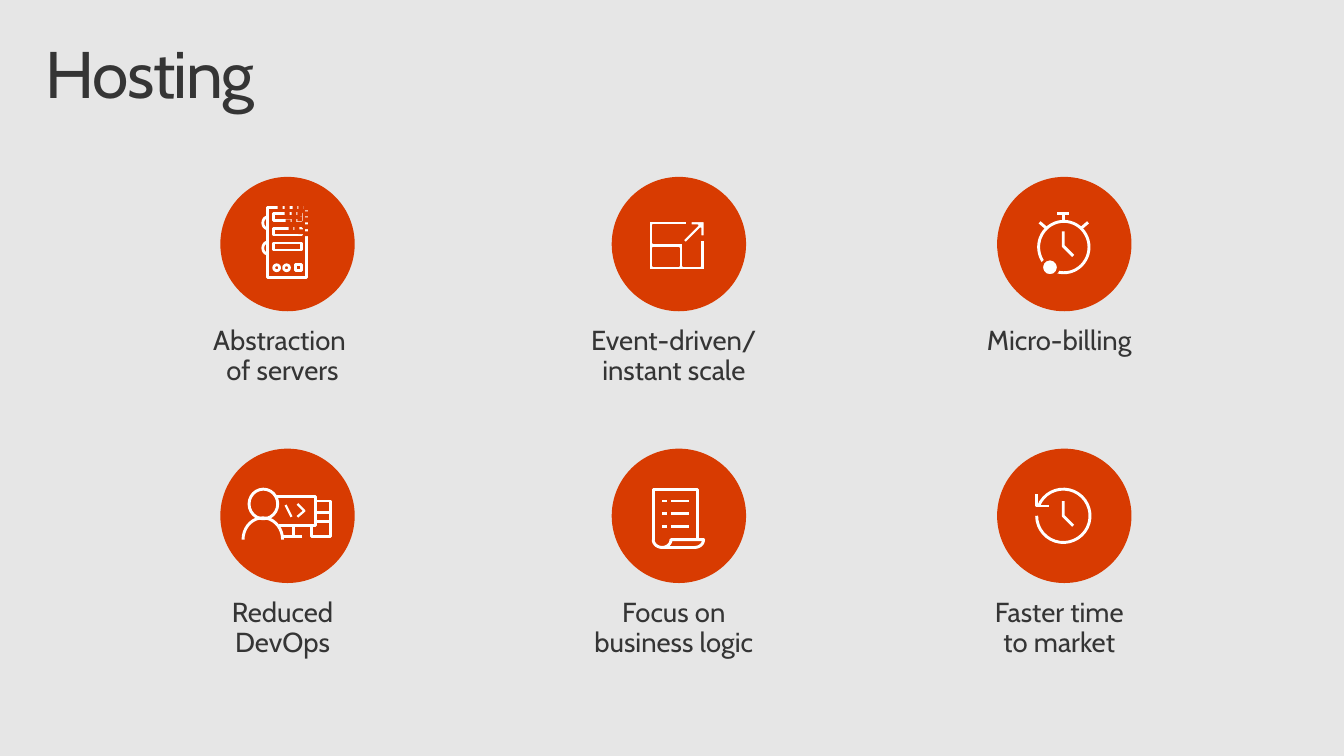
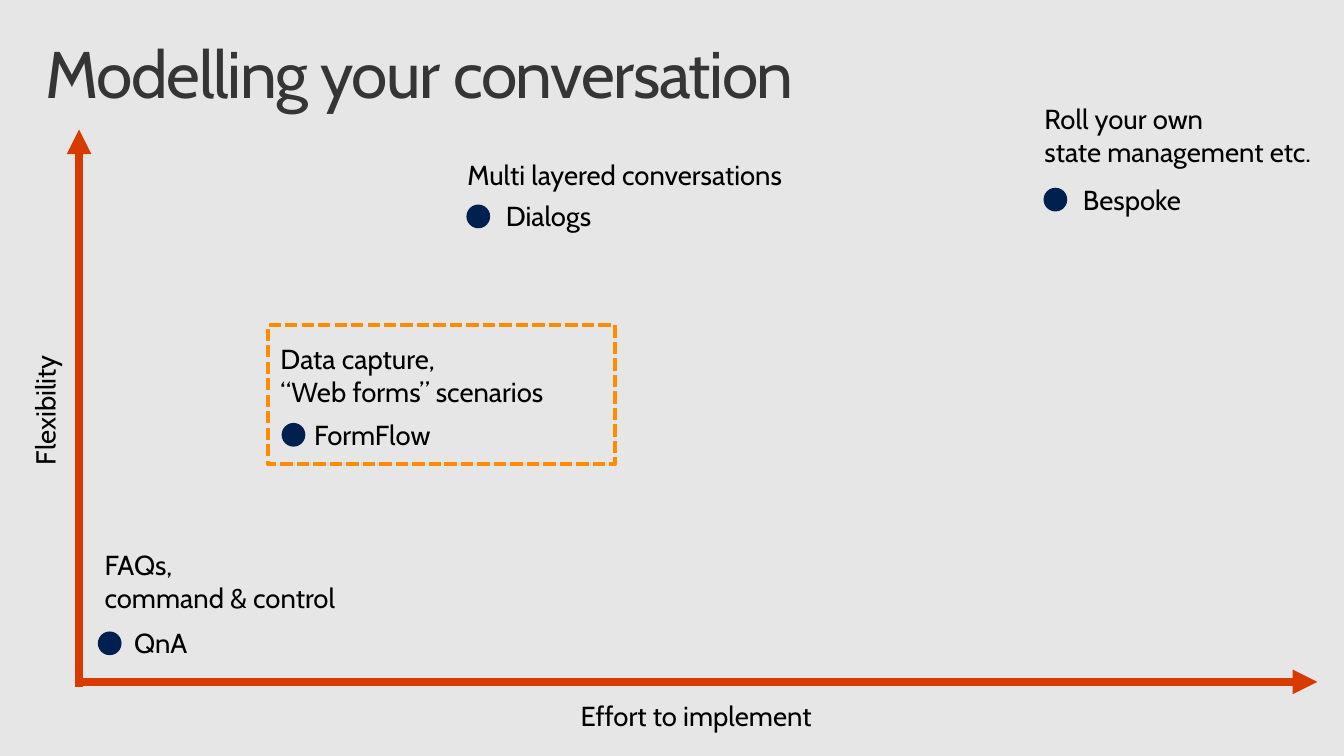
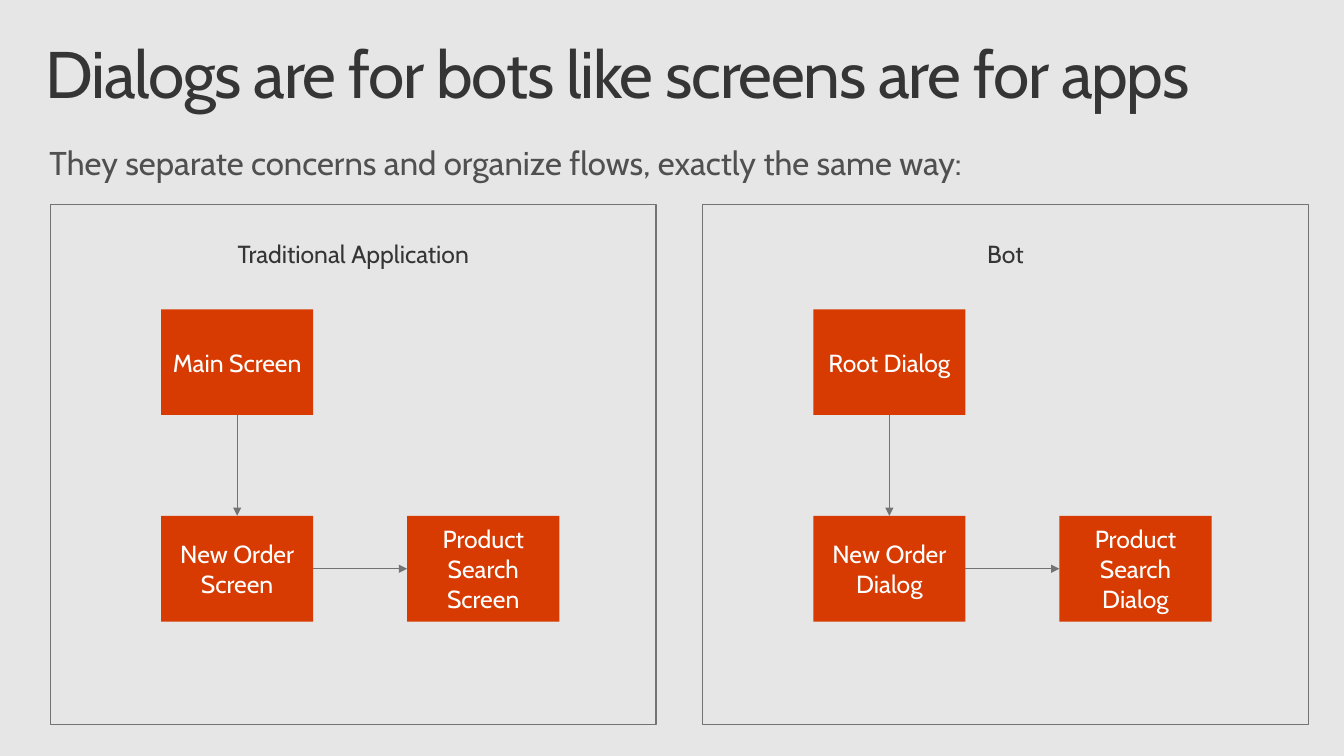
from dataclasses import dataclass
from math import cos, radians, sin
from typing import Any

from lxml.etree import SubElement
from pptx import Presentation
from pptx.dml.color import RGBColor
from pptx.enum.dml import MSO_LINE
from pptx.enum.shapes import MSO_CONNECTOR, MSO_SHAPE
from pptx.enum.text import MSO_ANCHOR, MSO_AUTO_SIZE, PP_ALIGN
from pptx.oxml.ns import qn
from pptx.util import Pt

PX = 9144
FONT = "Cabin"
COLORS = {
    "background": "E6E6E6",
    "heading": "353535",
    "intro": "505050",
    "accent": "D83B01",
    "white": "FFFFFF",
    "black": "000000",
    "dot": "002050",
    "highlight": "FF8C00",
    "outline": "737373",
}


def rgb(name):
    """Return the named palette colour."""
    return RGBColor.from_string(COLORS[name])


def paint(shape, fill=None, line=None, weight=1):
    """Set the fill and outline of a shape and drop its shadow."""
    shape.shadow.inherit = False
    if fill:
        shape.fill.solid()
        shape.fill.fore_color.rgb = rgb(fill)
    else:
        shape.fill.background()
    if line:
        shape.line.color.rgb = rgb(line)
        shape.line.width = Pt(weight)
    else:
        shape.line.fill.background()
    return shape


def write(shape, paragraphs, size, color, align=PP_ALIGN.LEFT, anchor=MSO_ANCHOR.TOP,
          insets=(10, 5, 10, 5), spacing=None, after=None):
    """Fill a shape with evenly styled paragraphs."""
    frame = shape.text_frame
    frame.word_wrap = True
    frame.auto_size = MSO_AUTO_SIZE.NONE
    frame.vertical_anchor = anchor
    (frame.margin_left, frame.margin_top,
     frame.margin_right, frame.margin_bottom) = [inset * PX for inset in insets]
    for index, text in enumerate(paragraphs):
        paragraph = frame.add_paragraph() if index else frame.paragraphs[0]
        paragraph.text = text
        paragraph.alignment = align
        paragraph.space_before = Pt(0)
        if spacing:
            paragraph.line_spacing = spacing
        if after:
            paragraph.space_after = Pt(after)
        paragraph.font.name = FONT
        paragraph.font.size = Pt(size)
        paragraph.font.bold = False
        paragraph.font.color.rgb = rgb(color)
    return shape


def place(shape, left, top, width, height):
    """Move and size a placeholder in px."""
    shape.left, shape.top = left * PX, top * PX
    shape.width, shape.height = width * PX, height * PX


def arc(x, y, rx, ry, start, end):
    """Return points along an elliptical arc, angles clockwise from the right."""
    steps = max(2, abs(end - start) // 10)
    angles = [radians(start + (end - start) * step / steps) for step in range(steps + 1)]
    return [(x + rx * cos(angle), y + ry * sin(angle)) for angle in angles]


@dataclass
class Region:
    """Draw shapes in px relative to a left and top corner."""
    shapes: Any
    left: int
    top: int

    def point(self, x, y):
        """Turn a local point into slide EMU."""
        return round((self.left + x) * PX), round((self.top + y) * PX)

    def shape(self, kind, x, y, width, height, **style):
        """Add a preset shape."""
        return paint(self.shapes.add_shape(kind, *self.point(x, y), width * PX, height * PX), **style)

    def rect(self, *box, **style):
        """Add a rectangle."""
        return self.shape(MSO_SHAPE.RECTANGLE, *box, **style)

    def oval(self, *box, **style):
        """Add an ellipse."""
        return self.shape(MSO_SHAPE.OVAL, *box, **style)

    def text(self, x, y, width, height, paragraphs, size=20, color="black", **style):
        """Add a text box."""
        box = self.shapes.add_textbox(*self.point(x, y), width * PX, height * PX)
        return write(box, paragraphs, size, color, **style)

    def outline(self, *contours, close=False, **style):
        """Add a freeform from one or more contours."""
        builder = None
        for contour in contours:
            points = [self.point(*corner) for corner in contour]
            if builder:
                builder.move_to(*points[0])
            else:
                builder = self.shapes.build_freeform(*points[0], 1.0)
            builder.add_line_segments(points[1:], close=close)
        return paint(builder.convert_to_shape(), **style)

    def line(self, x1, y1, x2, y2, line, weight, arrow=False):
        """Add a straight connector, with an arrowhead if asked."""
        connector = self.shapes.add_connector(
            MSO_CONNECTOR.STRAIGHT, *self.point(x1, y1), *self.point(x2, y2))
        connector.line.color.rgb = rgb(line)
        connector.line.width = Pt(weight)
        properties = connector._element.spPr
        if arrow:
            SubElement(properties.find(qn("a:ln")), qn("a:tailEnd"), type="triangle")
        SubElement(properties, qn("a:effectLst"))
        return connector


STROKE = {"line": "white", "weight": 2.13}
FINE = {"line": "white", "weight": 1.63}
SERVER = {"line": "white", "weight": 2}
CUTOUT = {"fill": "white", "line": "accent", "weight": 1.25}


def server_icon(icon):
    """Draw a server that dissolves at its top right corner."""
    icon.rect(48, 31, 39, 71, **SERVER)
    for y in (37, 52, 67):
        icon.rect(54, y, 28, 7, **SERVER)
    for y in (46.5, 72):
        icon.outline(arc(48, y, 5, 6, 90, 270), **SERVER)
    for x in (54, 64):
        icon.oval(x, 89, 6, 6, **SERVER)
    icon.rect(76, 89, 6, 6, **SERVER)
    gaps = {
        29: (58, 65, 73, 79, 84), 34: (65, 72), 35: (78, 85), 40: (78,), 41: (85,),
        42: (72,), 43: (66,), 48: (85,), 50: (69, 75), 53: (79,), 55: (85,),
    }
    for y, columns in gaps.items():
        for x in columns:
            icon.rect(x, y, 5, 5, fill="accent")


def scale_icon(icon):
    """Draw a small frame growing into a larger one."""
    frame = [(90, 90), (72, 90), (72, 67), (42, 67), (42, 49), (76, 49),
             (76, 45), (38, 45), (38, 94), (94, 94), (94, 64), (90, 64)]
    opening = [(42, 72), (68, 72), (68, 90), (42, 90)]
    icon.outline(frame, opening, close=True, **CUTOUT)
    icon.outline([(80, 49), (87, 49), (72, 64), (75, 67), (90, 52), (90, 60),
                  (94, 60), (94, 45), (80, 45)], close=True, **CUTOUT)


def stopwatch_icon(icon):
    """Draw a stopwatch with a dot on its rim."""
    icon.outline([(67, 55), (67, 70), (77, 80)], **STROKE)
    icon.oval(42, 45, 51, 52, **STROKE)
    for ends in ((61, 37, 73, 37), (67, 45, 67, 37), (92, 46, 85, 52), (43, 46, 50, 52)):
        icon.line(*ends, **STROKE)
    icon.oval(45, 83, 17, 17, fill="white", line="accent", weight=2)


def developer_icon(icon):
    """Draw a person in front of a screen and a rack."""
    icon.oval(29, 41, 29, 30, **STROKE)
    icon.outline(arc(43, 92, 20, 22, 0, -180), **STROKE)
    icon.outline([(59, 78), (96, 78), (96, 48), (56, 48)], **STROKE)
    icon.outline([(96, 53), (111, 53), (111, 89), (92, 89), (92, 78)], **STROKE)
    for ends in ((74, 89, 74, 78), (83, 89, 61, 89), (111, 65, 96, 65), (111, 74, 96, 74)):
        icon.line(*ends, **STROKE)
    icon.line(66, 57, 72, 69, **FINE)
    icon.outline([(78, 56), (85, 63), (78, 69)], **FINE)


def scroll_icon(icon):
    """Draw a scroll with a three-row list."""
    curl = arc(51, 92, 9, 8, 180, 0) + arc(84, 92, 9, 8, 0, 90) + [(51, 100)]
    icon.outline(curl, **STROKE)
    icon.outline([(42, 92), (42, 41), (87, 41), (87, 92)], **STROKE)
    for y in (53, 66, 79):
        icon.line(60, y, 78, y, **STROKE)
        icon.line(51, y, 56, y, **STROKE)


def history_icon(icon):
    """Draw a clock face with a returning arrow."""
    icon.outline(arc(67, 68, 27, 27, 201, 540), **STROKE)
    icon.outline([(67, 53), (67, 68), (77, 78)], **STROKE)
    icon.outline([(52, 58), (40, 58), (40, 46)], **STROKE)


def add_slide(deck, layout, title):
    """Add a slide with the shared title style."""
    slide = deck.slides.add_slide(deck.slide_layouts[layout])
    heading = slide.shapes.title
    place(heading, 30, 32, 1300, 100)
    write(heading, [title], 48, "heading", insets=(16, 10, 16, 10), spacing=0.9)
    heading.text_frame.paragraphs[0]._p.pPr.find(qn("a:defRPr")).set("spc", "-100")
    return slide


def benefit(slide, left, top, label, label_width, label_height, draw_icon):
    """Add one icon disc with its label centred below."""
    disc = 136
    region = Region(slide.shapes.add_group_shape().shapes, left, top)
    region.text((disc - label_width) // 2, disc, label_width, label_height, [label],
                color="heading", align=PP_ALIGN.CENTER, insets=(10, 16, 20, 16),
                spacing=0.9, after=12.2)
    region.oval(0, 0, disc, disc, fill="accent")
    draw_icon(region)


def hosting_slide(deck):
    """Build the grid of hosting benefits."""
    slide = add_slide(deck, 5, "Hosting")
    rows = {
        179: (("Abstraction \vof servers", 288, 94, server_icon),
              ("Event-driven/ instant scale", 262, 94, scale_icon),
              ("Micro-billing", 274, 63, stopwatch_icon)),
        454: (("Reduced DevOps", 214, 94, developer_icon),
              ("Focus on business logic", 226, 94, scroll_icon),
              ("Faster time to market", 172, 94, history_icon)),
    }
    for top, benefits in rows.items():
        for left, details in zip((223, 619, 1009), benefits):
            benefit(slide, left, top, *details)


def option(plot, x, y, name, gap, note, note_box):
    """Add one plotted option with its name and note."""
    marker = Region(plot.shapes.add_group_shape().shapes, plot.left + x, plot.top + y)
    marker.oval(0, 0, 24, 24, fill="dot")
    marker.text(gap, -10, 148, 44, [name])
    plot.text(*note_box, note)


def effort_plot(slide, left, top):
    """Draw the axes, the options and the highlighted option."""
    plot = Region(slide.shapes, left, top)
    plot.line(0, 564, 0, 0, "accent", 6, arrow=True)
    plot.line(-4, 559, 1253, 559, "accent", 6, arrow=True)
    flexibility = plot.text(-316, 262, 563, 44, ["Flexibility"], align=PP_ALIGN.CENTER)
    flexibility.rotation = 270
    plot.text(-4, 571, 1257, 44, ["Effort to implement"], align=PP_ALIGN.CENTER)
    options = (
        (392, 76, "Dialogs", 30, ["Multi layered conversations"], (383, 24, 349, 44)),
        (205, 297, "FormFlow", 23, ["Data capture,", "“Web forms” scenarios"], (194, 210, 320, 77)),
        (19, 508, "QnA", 27, ["FAQs,", "command & control"], (16, 419, 320, 77)),
        (976, 59, "Bespoke", 30, ["Roll your own", "state management etc."], (967, -33, 310, 77)),
    )
    for details in options:
        option(plot, *details)
    highlight = plot.rect(191, 198, 351, 141, line="highlight", weight=3)
    highlight.line.dash_style = MSO_LINE.SQUARE_DOT


def modelling_slide(deck):
    """Build the flexibility and effort slide."""
    effort_plot(add_slide(deck, 5, "Modelling your conversation"), 80, 131)


def flow_panel(slide, left, top, heading, steps):
    """Draw a framed flow of three steps."""
    panel = Region(slide.shapes, left, top)
    frame = panel.rect(0, 0, 613, 526, line="outline")
    write(frame, [heading], 18, "heading", align=PP_ALIGN.CENTER, spacing=2.0)
    boxes = []
    for (x, y), step in zip(((112, 106), (112, 315), (361, 315)), steps):
        box = panel.rect(x, y, 154, 107, fill="accent")
        boxes.append(write(box, [step], 18, "white", align=PP_ALIGN.CENTER,
                           anchor=MSO_ANCHOR.MIDDLE))
    start, order, search = boxes
    for source, exit_side, target, entry_side in ((start, 2, order, 0), (order, 3, search, 1)):
        link = panel.line(0, 0, 1, 1, "outline", 0.75, arrow=True)
        link.begin_connect(source, exit_side)
        link.end_connect(target, entry_side)


def dialogs_slide(deck):
    """Build the comparison of application screens and bot dialogs."""
    slide = add_slide(deck, 1, "Dialogs are for bots like screens are for apps")
    intro = slide.placeholders[1]
    place(intro, 30, 133, 1265, 74)
    properties = intro.text_frame.paragraphs[0]._p.get_or_add_pPr()
    properties.set("marL", "0")
    properties.set("indent", "0")
    SubElement(properties, qn("a:buNone"))
    write(intro, ["They separate concerns and organize flows, exactly the same way:"],
          24, "intro", insets=(20, 16, 20, 16), spacing=0.9, after=6)
    flow_panel(slide, 51, 207, "Traditional Application",
               ("Main Screen", "New Order Screen", "Product Search Screen"))
    flow_panel(slide, 711, 207, "Bot",
               ("Root Dialog", "New Order Dialog", "Product Search Dialog"))


def main():
    """Build and save the deck."""
    deck = Presentation()
    deck.slide_width, deck.slide_height = 1360 * PX, 765 * PX
    backdrop = deck.slide_master.background.fill
    backdrop.solid()
    backdrop.fore_color.rgb = rgb("background")
    hosting_slide(deck)
    modelling_slide(deck)
    dialogs_slide(deck)
    deck.save("out.pptx")


if __name__ == "__main__":
    main()
